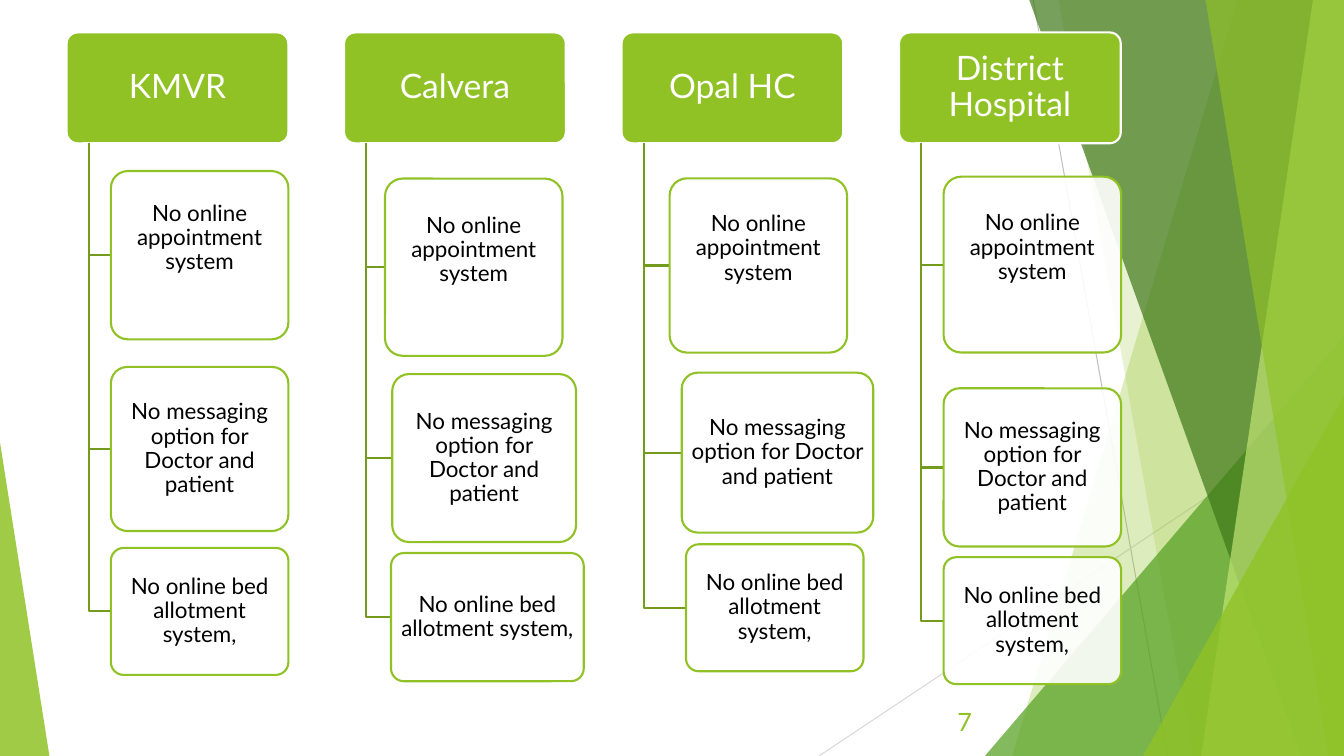
from pptx import Presentation
from pptx.dml.color import RGBColor
from pptx.enum.shapes import MSO_CONNECTOR as CONN, MSO_SHAPE as SHAPE
from pptx.enum.text import MSO_ANCHOR as ANCHOR, PP_ALIGN as ALIGN
from pptx.oxml.ns import qn
from pptx.util import Pt
from lxml.etree import SubElement

WHITE = RGBColor(0xFF, 0xFF, 0xFF)
BLACK = RGBColor(0x00, 0x00, 0x00)
GREEN = RGBColor(0x90, 0xC2, 0x26)
BRANCH = RGBColor(0x73, 0x9B, 0x1E)
LEAF = RGBColor(0x54, 0xA0, 0x21)
FOREST = RGBColor(0x3F, 0x78, 0x19)
LIME = RGBColor(0xC0, 0xE4, 0x74)
GREY = RGBColor(0xBF, 0xBF, 0xBF)
PALE_GREY = RGBColor(0xD9, 0xD9, 0xD9)
W, H = 960, 540


def paint(s, fill=None, alpha=100, line=None):
    s.shadow.inherit = False
    if fill is None:
        s.fill.background()
    else:
        s.fill.solid()
        s.fill.fore_color.rgb = fill
        if alpha < 100:
            clr = s._element.spPr.find(".//" + qn("a:srgbClr"))
            SubElement(clr, qn("a:alpha"), val=str(alpha * 1000))
    if line is None:
        s.line.fill.background()
    else:
        s.line.color.rgb = line
        s.line.width = Pt(1.5)


def write(s, text, size, color, align=ALIGN.CENTER, spacing=0.9, **frame):
    tf = s.text_frame
    frame = {"word_wrap": True, "vertical_anchor": ANCHOR.MIDDLE, **frame}
    for name, value in frame.items():
        setattr(tf, name, value)
    p = tf.paragraphs[0]
    p.alignment = align
    p.line_spacing = spacing
    r = p.add_run()
    r.text = text
    for name, value in {"name": "Lato", "size": Pt(size)}.items():
        setattr(r.font, name, value)
    r.font.color.rgb = color


prs = Presentation()
prs.slide_width, prs.slide_height = Pt(W), Pt(H)
shapes = prs.slides.add_slide(prs.slide_layouts[6]).shapes

for x1, y1, x2, y2, color in [
    (738, 0, 834, H, GREY),
    (W, 290, 585, H, PALE_GREY),
]:
    c = shapes.add_connector(CONN.STRAIGHT, Pt(x1), Pt(y1), Pt(x2), Pt(y2))
    c.line.color.rgb = color
    c.line.width = Pt(0.75)
    SubElement(c._element.spPr, qn("a:effectLst"))

facets = [
    ("band", 884, 723, GREEN, 30),
    ("band", 756, 852, GREEN, 20),
    ("triangle", 703.5, 240, W - 703.5, 1, LEAF, 72),
    ("band", 735, 929.5, FOREST, 70),
    ("band", 938, 858, LIME, 70),
    ("band", 861, 949, GREEN, 65),
    ("triangle", 816.5, 283, W - 816.5, 1, GREEN, 80),
    ("triangle", 0, 316, 35.3, 0, GREEN, 85),
]
for kind, *geometry, color, alpha in facets:
    if kind == "band":
        top_x, bottom_x = geometry
        fb = shapes.build_freeform(Pt(top_x), Pt(-0.7))
        fb.add_line_segments(
            [(Pt(W), Pt(-0.7)), (Pt(W), Pt(H)), (Pt(bottom_x), Pt(H))])
        s = fb.convert_to_shape()
    else:
        x, y, w, apex = geometry
        s = shapes.add_shape(SHAPE.ISOSCELES_TRIANGLE, Pt(x), Pt(y), Pt(w), Pt(H - y))
        s.adjustments[0] = apex
    paint(s, color, alpha)

HEAD_X, HEAD_Y, HEAD_W, HEAD_H, PITCH = 47.6, 23.2, 158.4, 79.2, 198.2
SPINE = HEAD_W / 10
ISSUES = [
    ("No online appointment system", 26),
    ("No messaging option for Doctor and patient", 2),
    ("No online bed allotment system,", 2),
]
hospitals = [
    ("KMVR", [(79.2, 122.2, 126.8, 120.2), (79.2, 262.1, 126.8, 117.2), (79.2, 391.4, 126.8, 90.7)]),
    ("Calvera", [(275, 127.6, 126.8, 126.6), (280.2, 267.2, 131.3, 120), (279.3, 395, 137.7, 91.6)]),
    ("Opal HC", [(478.3, 127.4, 126.8, 124.5), (487, 266.2, 136.8, 114.2), (490, 388.8, 126.8, 90.7)]),
    ("District Hospital", [(674, 126.2, 126.8, 125.6), (674, 277.4, 126.8, 113), (674, 398, 126.8, 90.7)]),
]
for i, (hospital, boxes) in enumerate(hospitals):
    x = HEAD_X + i * PITCH
    s = shapes.add_shape(SHAPE.ROUNDED_RECTANGLE, Pt(x), Pt(HEAD_Y), Pt(HEAD_W), Pt(HEAD_H))
    s.adjustments[0] = 0.1
    paint(s, GREEN, line=WHITE)
    write(s, hospital, 24, WHITE, margin_left=Pt(4), margin_right=Pt(4),
          margin_top=Pt(2), margin_bottom=Pt(2))
    for (left, top, w, h), (issue, bottom) in zip(boxes, ISSUES):
        mid = top + h / 2
        fb = shapes.build_freeform(Pt(x + SPINE), Pt(HEAD_Y + HEAD_H))
        fb.add_line_segments([(Pt(x + SPINE), Pt(mid)), (Pt(left), Pt(mid))], close=False)
        paint(fb.convert_to_shape(), line=BRANCH)
        s = shapes.add_shape(SHAPE.ROUNDED_RECTANGLE, Pt(left), Pt(top), Pt(w), Pt(h))
        s.adjustments[0] = 0.1
        paint(s, WHITE, 90, GREEN)
        write(s, issue, 16, BLACK, margin_left=Pt(2), margin_right=Pt(2),
              margin_top=Pt(2), margin_bottom=Pt(bottom))

number = shapes.add_textbox(Pt(647.3), Pt(501), Pt(54), Pt(29))
write(number, "7", 18, GREEN, ALIGN.RIGHT, 1)

prs.save("out.pptx")
